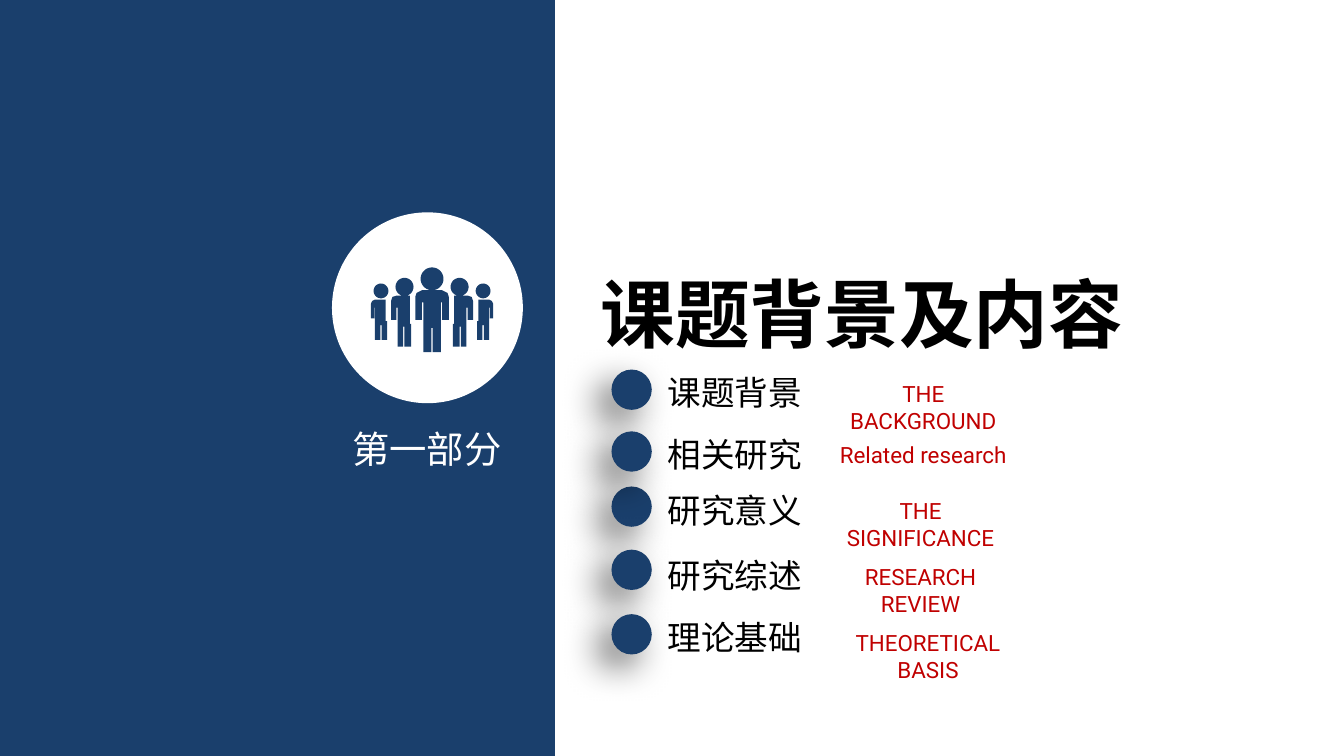
import math

from lxml import etree
from pptx import Presentation
from pptx.dml.color import RGBColor
from pptx.enum.shapes import MSO_SHAPE
from pptx.enum.text import MSO_ANCHOR, MSO_AUTO_SIZE, PP_ALIGN
from pptx.oxml.ns import qn
from pptx.util import Inches, Pt

RECTANGLE, OVAL = MSO_SHAPE.RECTANGLE, MSO_SHAPE.OVAL
LEFT, CENTER = PP_ALIGN.LEFT, PP_ALIGN.CENTER
TOP = MSO_ANCHOR.TOP
NO_AUTOFIT = MSO_AUTO_SIZE.NONE

COLORS = {"navy": "1A3F6C", "white": "FFFFFF", "black": "000000", "red": "C00000"}
CHINESE, LATIN = "Noto Sans CJK SC", "Roboto"


def write_text(shape, text, size, color, font=CHINESE, align=LEFT, bold=False, wrap=False, inset=0.1):
    frame = shape.text_frame
    frame.text = text
    frame.word_wrap = wrap
    frame.auto_size = NO_AUTOFIT
    frame.vertical_anchor = TOP
    frame.margin_left = frame.margin_right = Inches(inset)
    paragraph = frame.paragraphs[0]
    paragraph.alignment = align
    run = paragraph.runs[0]
    run.font.name = font
    run.font.size = Pt(size)
    run.font.bold = bold
    run.font.color.rgb = RGBColor.from_string(COLORS[color])
    east_asian = etree.SubElement(run._r.get_or_add_rPr(), qn("a:ea"))
    east_asian.set("typeface", font)


def paint(shape, color):
    shape.shadow.inherit = False
    shape.fill.solid()
    shape.fill.fore_color.rgb = RGBColor.from_string(COLORS[color])
    shape.line.fill.background()


# Widescreen slide, 16:9
presentation = Presentation()
presentation.slide_width = Inches(10)
presentation.slide_height = Inches(10 * 9 / 16)
slide = presentation.slides.add_slide(presentation.slide_layouts[5])
shapes = slide.shapes

# Left panel and section title
panel = shapes.add_shape(RECTANGLE, 0, 0, Inches(4.13), presentation.slide_height)
paint(panel, "navy")

title = shapes.title
title.left, title.top = Inches(4.37), Inches(1.94)
title.width, title.height = Inches(4.14), Inches(0.77)
write_text(title, "课题背景及内容", 40, "black", bold=True)

# Section number
section = shapes.add_textbox(Inches(2.62), Inches(3.17), Inches(1.36), Inches(0.34))
write_text(section, "第一部分", 20, "white", wrap=True, inset=0)
section.text_frame.margin_top = section.text_frame.margin_bottom = 0

# White badge with a team of five: the two left people are mirrored to the right
badge = shapes.add_shape(OVAL, Inches(2.47), Inches(1.58), Inches(1.42), Inches(1.42))
paint(badge, "white")

AXIS = 3.215
leader_head = (AXIS, 2.075, 0.085)
leader_body = [
    (3.14, 2.16), (3.29, 2.16), (3.33, 2.18), (3.34, 2.21), (3.34, 2.38), (3.29, 2.38),
    (3.29, 2.25), (3.28, 2.25), (3.28, 2.62), (3.22, 2.62), (3.22, 2.44), (3.21, 2.44),
    (3.21, 2.62), (3.15, 2.62), (3.15, 2.25), (3.14, 2.25), (3.14, 2.38), (3.09, 2.38),
    (3.09, 2.21), (3.10, 2.18),
]
side_heads = [(3.01, 2.135, 0.067), (2.835, 2.165, 0.055)]
side_bodies = [
    [(3.06, 2.41), (3.06, 2.58), (3.01, 2.58), (3.01, 2.43), (3.00, 2.43), (3.00, 2.58),
     (2.96, 2.58), (2.96, 2.29), (2.95, 2.29), (2.95, 2.38), (2.91, 2.38), (2.91, 2.24),
     (2.92, 2.21), (2.95, 2.20), (3.05, 2.20), (3.05, 2.41)],
    [(2.88, 2.39), (2.88, 2.53), (2.84, 2.53), (2.84, 2.42), (2.83, 2.42), (2.83, 2.53),
     (2.79, 2.53), (2.79, 2.29), (2.785, 2.29), (2.785, 2.37), (2.76, 2.37), (2.76, 2.26),
     (2.77, 2.24), (2.79, 2.23), (2.87, 2.23), (2.87, 2.39)],
]

side_outlines = list(side_bodies)
outlines = [leader_body]
for x, y, radius in [leader_head] + side_heads:
    angles = [math.radians(step * 10) for step in range(36)]
    circle = [(x + radius * math.cos(a), y + radius * math.sin(a)) for a in angles]
    (outlines if x == AXIS else side_outlines).append(circle)
for outline in side_outlines:
    outlines += [outline, [(2 * AXIS - x, y) for x, y in outline]]

points = [[(Inches(x), Inches(y)) for x, y in outline] for outline in outlines]
builder = shapes.build_freeform(*points[0][0], scale=1.0)
for index, outline in enumerate(points):
    if index:
        builder.move_to(*outline[0])
    builder.add_line_segments(outline[1:], close=True)
team = builder.convert_to_shape()
paint(team, "navy")

# Topics: Chinese, its top, dot top, English, its left, top and width
topics = [
    ("课题背景", 2.72, 2.75, "THE BACKGROUND", 6.05, 2.78, 1.64),
    ("研究意义", 3.60, 3.62, "THE SIGNIFICANCE", 6.05, 3.65, 1.60),
    ("研究综述", 4.08, 4.09, "RESEARCH REVIEW", 6.05, 4.14, 1.60),
    ("理论基础", 4.54, 4.57, "THEORETICAL BASIS", 6.05, 4.63, 1.71),
    ("相关研究", 3.18, 3.21, "Related research", 6.12, 3.23, 1.50),
]
for chinese, chinese_top, dot_top, english, english_left, english_top, english_width in topics:
    label = shapes.add_textbox(Inches(4.87), Inches(chinese_top), Inches(1.21), Inches(0.4))
    write_text(label, chinese, 18, "black")

    caption = shapes.add_textbox(
        Inches(english_left), Inches(english_top), Inches(english_width), Inches(0.3))
    write_text(caption, english, 12, "red", LATIN, CENTER, wrap=True, inset=0.12)

    # Dot with a soft shadow to the lower left
    dot = shapes.add_shape(OVAL, Inches(4.55), Inches(dot_top), Inches(0.3), Inches(0.3))
    paint(dot, "navy")
    effects = dot._element.spPr.find(qn("a:effectLst"))
    shadow = etree.SubElement(
        effects, qn("a:outerShdw"), blurRad=str(Pt(20)), dist=str(Pt(10)),
        dir=str(135 * 60000), algn="tr", rotWithShape="0")
    shadow_color = etree.SubElement(shadow, qn("a:srgbClr"), val=COLORS["black"])
    etree.SubElement(shadow_color, qn("a:alpha"), val="60000")

presentation.save("out.pptx")
